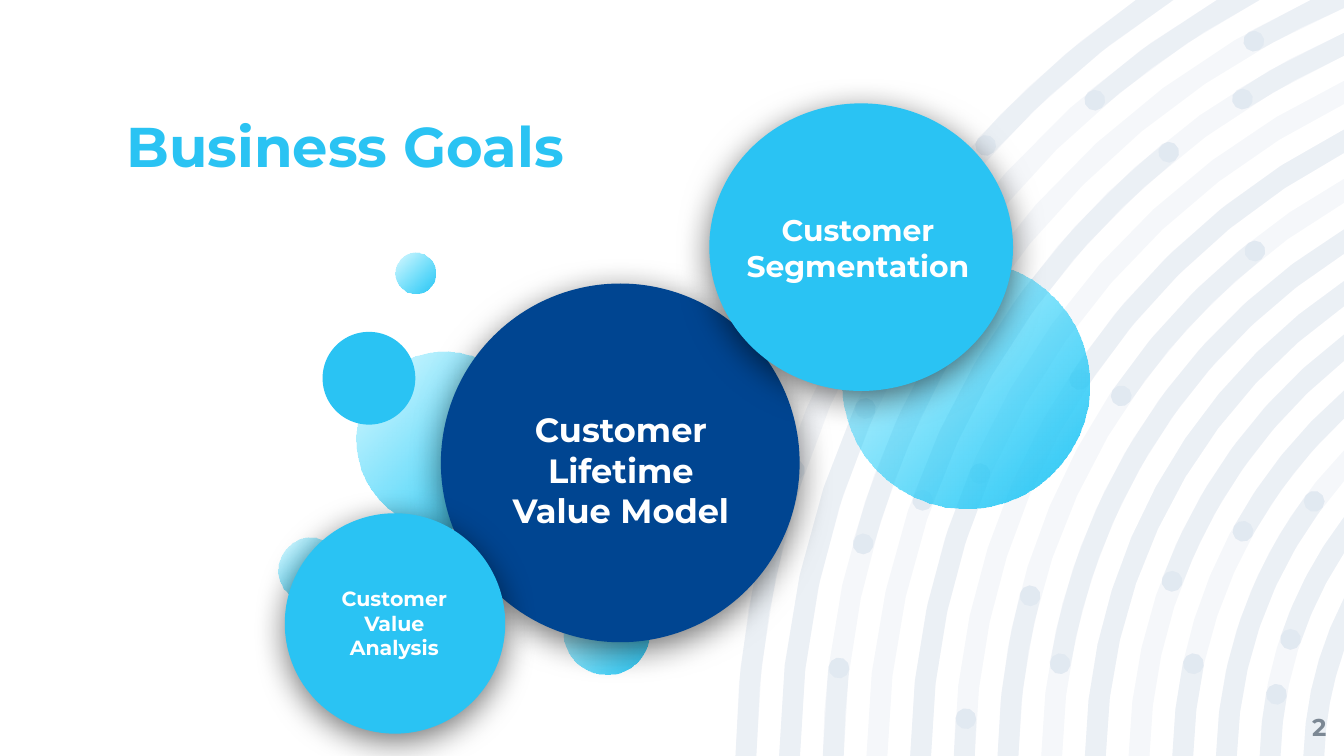
"""Build the Business Goals slide: linked circles over a fan of concentric bands."""
from math import acos, asin, ceil, cos, degrees, radians, sin

from pptx import Presentation
from pptx.dml.color import RGBColor
from pptx.enum.shapes import MSO_SHAPE
from pptx.enum.text import MSO_ANCHOR, PP_ALIGN
from pptx.oxml import parse_xml
from pptx.oxml.ns import qn
from pptx.util import Pt

OVAL = MSO_SHAPE.OVAL
LEFT, MID, RIGHT = PP_ALIGN.LEFT, PP_ALIGN.CENTER, PP_ALIGN.RIGHT
BASE, CORE = MSO_ANCHOR.BOTTOM, MSO_ANCHOR.MIDDLE

NAVY = RGBColor(0x00, 0x45, 0x91)
SKY = RGBColor(0x2A, 0xC3, 0xF3)
AQUA = RGBColor(0x00, 0xD0, 0xFF)
GREY = RGBColor(0x7C, 0x88, 0x94)
WHITE = RGBColor(0xFF, 0xFF, 0xFF)
BLACK = RGBColor(0x00, 0x00, 0x00)

FONT = "Montserrat"
NS = 'xmlns:a="http://schemas.openxmlformats.org/drawingml/2006/main"'
WIDE, HIGH = 720, 405
HUB_X, HUB_Y = 893, 410
REACH, STEP, HALF = 493.4, 23.4, 5.6

RINGS = [
    [(0, 18.7), (42.3, 90)],
    [(0, 24), (49.3, 90)],
    [(0, 6.7), (15.4, 34.4), (60.3, 90)],
    [(19.6, 50.9), (57.5, 90)],
    [(0, 23)],
    [(0, 3.8), (33.3, 90)],
    [(0, 14.9), (34.1, 51.3)],
    [(9.5, 90)],
    [(0, 90)],
    [(20.4, 90)],
    [(0, 12.1), (28.9, 90)],
    [(0, 36.8)],
    [(0, 10.3), (18.5, 90)],
    [(0, 90)],
]
GLOWS = [
    (301.7, 315.4, 46),
    (149, 288, 34.6),
    (190.8, 188.6, 94.3),
    (451.4, 139.7, 132.5),
    (211.7, 135.4, 21.6),
]
GOALS = [
    ("Customer Lifetime Value Model", 18, NAVY, (236.2, 151.9, 192.2, 192.2), (259.2, 205.9, 146.9, 91.4)),
    ("Customer Segmentation", 16, SKY, (380, 55.4, 162.7, 154.1), (386.6, 82.8, 146.2, 99.4)),
    ("Customer Value Analysis", 11, SKY, (152.6, 275, 118.1, 118.1), (169.2, 296.6, 84.2, 74.2)),
]


def sweep(low, high, gap):
    """Return even angles from low to high, no further apart than the gap."""
    count = max(1, ceil((high - low) / gap))
    return [low + (high - low) * n / count for n in range(count + 1)]


def spot(size, turn):
    """Return the point at a radius and an angle raised from the left of the hub."""
    turn = radians(turn)
    return HUB_X - size * cos(turn), HUB_Y - size * sin(turn)


def arc(size, low, high):
    """Return points along an arc, kept within the slide."""
    floor = degrees(asin((HUB_Y - HIGH) / size))
    roof = degrees(acos((HUB_X - WIDE) / size))
    if size > HUB_Y:
        roof = min(roof, degrees(asin(HUB_Y / size)))
    return [spot(size, turn) for turn in sweep(max(low, floor), min(high, roof), 6)]


def cap(size, turn, low, high):
    """Return points of a round end that is centred on a band."""
    x, y = spot(size, turn)
    turns = [radians(turn + 180 - side) for side in sweep(low, high, 36)]
    return [(x - HALF * cos(t + radians(2 * (turn - degrees(t)) + 180)), y - HALF * sin(
        t + radians(2 * (turn - degrees(t)) + 180))) for t in turns]


def band(size, low, high):
    """Return the outline of one stretch of a ring."""
    outer = arc(size + HALF, low, high)
    inner = arc(size - HALF, low, high)
    if high < 90:
        outer += cap(size, high, 0, 180)[1:-1]
    elif outer[-1][1] < 0.1 < inner[-1][1]:
        outer.append((WIDE, 0))
    tail = cap(size, low, 180, 360)[1:-1] if low > 0 else []
    return outer + inner[::-1] + tail


def paint(shape, color):
    """Give a shape a plain fill with no line and no shadow."""
    shape.fill.solid()
    shape.fill.fore_color.rgb = color
    shape.line.fill.background()
    shape.shadow.inherit = False


def layer(slide, loops):
    """Draw closed outlines as one faint freeform."""
    loops = [[(Pt(x), Pt(y)) for x, y in loop] for loop in loops]
    pen = slide.shapes.build_freeform(*loops[0][0], scale=1.0)
    for loop in loops:
        if loop is not loops[0]:
            pen.move_to(*loop[0])
        pen.add_line_segments(loop[1:], close=True)
    shape = pen.convert_to_shape()
    paint(shape, NAVY)
    tint = shape._element.spPr.find(qn("a:solidFill"))[0]
    tint.append(parse_xml(f'<a:alpha {NS} val="4000"/>'))


def disc(slide, box, color, turn=0):
    """Draw a plain circle."""
    shape = slide.shapes.add_shape(OVAL, *map(Pt, box))
    shape.rotation = turn
    paint(shape, color)
    return shape


def glow(slide, left, top, size):
    """Draw a circle that fades out from one corner."""
    props = disc(slide, (left, top, size, size), SKY, 250)._element.spPr
    props.replace(props.find(qn("a:solidFill")), parse_xml(
        f'<a:gradFill {NS}><a:gsLst><a:gs pos="0"><a:srgbClr val="{SKY}"/></a:gs>'
        f'<a:gs pos="100000"><a:srgbClr val="{AQUA}"><a:alpha val="12000"/></a:srgbClr></a:gs>'
        '</a:gsLst><a:path path="circle"><a:fillToRect l="100000" t="100000"/></a:path>'
        '<a:tileRect r="-100000" b="-100000"/></a:gradFill>'))


def shade(shape):
    """Cast a soft shadow below a shape."""
    shape._element.spPr.find(qn("a:effectLst")).append(parse_xml(
        f'<a:outerShdw {NS} blurRad="{Pt(18)}" dist="{Pt(4)}" dir="5400000" algn="bl" '
        f'rotWithShape="0"><a:srgbClr val="{BLACK}"><a:alpha val="55000"/></a:srgbClr></a:outerShdw>'))


def write(slide, text, box, size, color, align=MID, anchor=CORE, pad=7.2, lead=1.0):
    """Place bold text in a box."""
    frame = slide.shapes.add_textbox(*map(Pt, box)).text_frame
    frame.word_wrap = True
    frame.vertical_anchor = anchor
    frame.margin_left = frame.margin_right = Pt(pad)
    frame.margin_top = frame.margin_bottom = Pt(pad)
    line = frame.paragraphs[0]
    line.alignment = align
    line.line_spacing = lead
    run = line.add_run()
    run.text = text
    run.font.name = FONT
    run.font.size = Pt(size)
    run.font.bold = True
    run.font.color.rgb = color


def fan(slide):
    """Draw the full bands, the shorter strokes and the dots at their ends."""
    sizes = [REACH - STEP * n for n in range(len(RINGS))]
    parts = [(size, *span) for size, ring in zip(sizes, RINGS) for span in ring]
    ends = [(size, turn) for size, *span in parts for turn in span if 0 < turn < 90]
    layer(slide, [band(size, 0, 90) for size in sizes])
    layer(slide, [band(*part) for part in parts])
    layer(slide, [cap(*end, 0, 360)[:-1] for end in ends])


def main():
    """Build and save the slide."""
    deck = Presentation()
    deck.slide_width, deck.slide_height = Pt(WIDE), Pt(HIGH)
    slide = deck.slides.add_slide(deck.slide_layouts[6])
    fan(slide)
    write(slide, "Business Goals", (67.7, 65.5, 585.4, 31), 30, SKY, LEFT, BASE, pad=0, lead=0.9)
    write(slide, "2", (667.4, 373.7, 43.2, 31), 13, GREY, RIGHT, pad=0)
    for spec in GLOWS:
        glow(slide, *spec)
    disc(slide, (172.8, 177.8, 49.7, 49.7), SKY)
    for text, size, color, ball, box in GOALS:
        shade(disc(slide, ball, color))
        write(slide, text, box, size, WHITE)
    deck.save("out.pptx")


if __name__ == "__main__":
    main()
